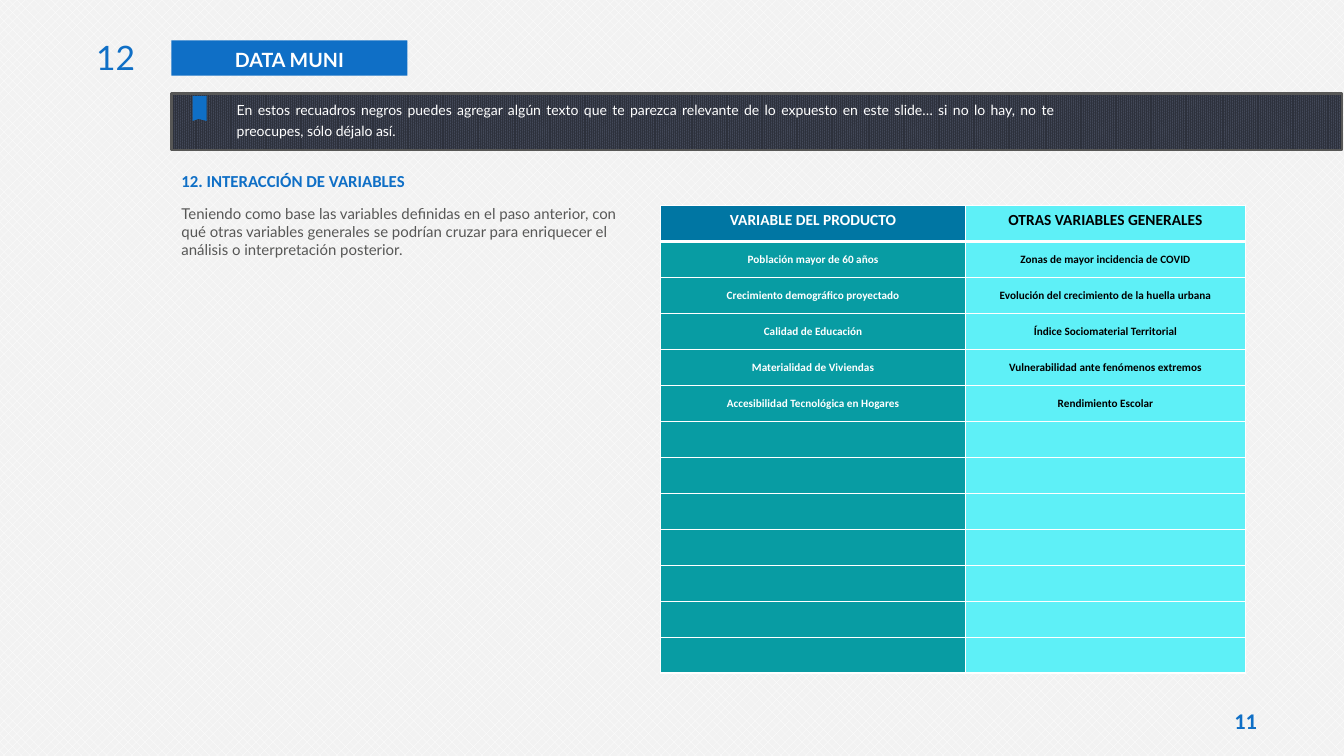
from dataclasses import dataclass

from lxml.etree import SubElement
from pptx import Presentation
from pptx.dml.color import RGBColor
from pptx.enum.dml import MSO_PATTERN as Pat
from pptx.enum.shapes import MSO_SHAPE as Kind
from pptx.enum.text import MSO_ANCHOR as Anchor, MSO_AUTO_SIZE as Auto, PP_ALIGN as Align
from pptx.oxml.ns import qn
from pptx.util import Inches, Pt

BLUE, WHITE, BLACK, GREY = "0F6FC6", "FFFFFF", "000000", "575756"
NAVY, TEAL, CYAN = "0076A3", "089CA3", "5EF0F7"
DOTS = Pat(6)  # 40 percent; python-pptx misspells the member's name


@dataclass
class Style:
    size: float
    color: str
    face: str = "Lato"
    bold: bool = False
    align: Align = Align.LEFT
    lines: float = 1.0


@dataclass
class Label:
    text: str
    box: tuple[float, float, float, float]
    style: Style
    inset: tuple[float, float] = (0.1, 0.05)


def rgb(code: str) -> RGBColor:
    return RGBColor.from_string(code)


def hatch(fill, kind: Pat, fore: str, back: str) -> None:
    fill.patterned()
    fill.pattern = kind
    fill.fore_color.rgb, fill.back_color.rgb = rgb(fore), rgb(back)


def write(frame, text: str, style: Style) -> None:
    frame.text = text
    para = frame.paragraphs[0]
    para.alignment, para.line_spacing = style.align, style.lines
    para.space_before = Pt(0)
    for run in para.runs:
        font = run.font
        font.name, font.size, font.bold = style.face, Pt(style.size), style.bold
        font.color.rgb = rgb(style.color)


def place(shape, label: Label) -> None:
    shape.left, shape.top, shape.width, shape.height = map(Inches, label.box)
    frame = shape.text_frame
    frame.word_wrap, frame.auto_size = True, Auto.NONE
    frame.vertical_anchor = Anchor.TOP
    side, edge = map(Inches, label.inset)
    frame.margin_left = frame.margin_right = side
    frame.margin_top = frame.margin_bottom = edge
    write(frame, label.text, label.style)


def rule(cell, top: float, base: float) -> None:
    props = cell._tc.get_or_add_tcPr()
    for tag, width in (("lnL", 1), ("lnR", 1), ("lnT", top), ("lnB", base)):
        line = SubElement(props, qn(f"a:{tag}"), w=str(Pt(width)))
        fill = SubElement(line, qn("a:solidFill"))
        SubElement(fill, qn("a:srgbClr"), val=WHITE)


def main() -> None:
    deck = Presentation()
    deck.slide_width, deck.slide_height = Inches(13.33), Inches(7.5)
    slide = deck.slides.add_slide(deck.slide_layouts[1])
    shapes = slide.shapes
    hatch(slide.background.fill, DOTS, WHITE, "F2F2F2")

    # Title
    title = shapes.title
    title.fill.solid()
    title.fill.fore_color.rgb = rgb(BLUE)
    place(title, Label("DATA MUNI", (1.7, 0.4, 2.34, 0.35),
                       Style(14, WHITE, bold=True, align=Align.CENTER, lines=1.1)))

    # Dark band with bookmark
    band = shapes.add_shape(Kind.RECTANGLE, *map(Inches, (1.7, 0.93, 11.61, 0.56)))
    band.shadow.inherit = False
    hatch(band.fill, Pat.PERCENT_90, "2D313C", "444A5A")
    band.line.color.rgb, band.line.width = rgb(GREY), Pt(2)

    spots = [(2.05, 0.95), (2.05, 1.2), (1.97, 1.18), (1.91, 1.2), (1.91, 0.95)]
    first, *rest = [(Inches(x), Inches(y)) for x, y in spots]
    pen = shapes.build_freeform(*first)
    pen.add_line_segments(rest, close=True)
    mark = pen.convert_to_shape()
    mark.shadow.inherit = False
    mark.fill.solid()
    mark.fill.fore_color.rgb = rgb(BLUE)
    mark.line.fill.background()

    # Labels
    labels = [
        Label("11", (12.05, 7, 0.61, 0.33),
              Style(16, BLUE, "Calibri", True, Align.CENTER), (0.05, 0.02)),
        Label("12", (0.78, 0.32, 0.66, 0.5), Style(24, BLUE, align=Align.RIGHT)),
        Label("En estos recuadros negros puedes agregar algún texto que te parezca "
              "relevante de lo expuesto en este slide… si no lo hay, no te preocupes, "
              "sólo déjalo así.", (2.25, 0.93, 8.3, 0.56),
              Style(10, WHITE, align=Align.JUSTIFY, lines=1.2)),
        Label("12. INTERACCIÓN DE VARIABLES", (1.7, 1.64, 4.96, 0.3),
              Style(12, BLUE, "Calibri", True)),
    ]
    for label in labels:
        place(shapes.add_textbox(0, 0, 0, 0), label)

    # Body text
    body = slide.placeholders[1]
    place(body, Label("Teniendo como base las variables definidas en el paso anterior, con "
                      "qué otras variables generales se podrían cruzar para enriquecer el "
                      "análisis o interpretación posterior.", (1.7, 1.98, 4.67, 0.64),
                      Style(10.7, GREY)))
    props = body.text_frame.paragraphs[0]._p.get_or_add_pPr()
    props.set("marL", "0")
    props.set("indent", "0")
    SubElement(props, qn("a:buNone"))

    # Table of variables
    pairs = [
        ("VARIABLE DEL PRODUCTO", "OTRAS VARIABLES GENERALES"),
        ("Población mayor de 60 años", "Zonas de mayor incidencia de COVID"),
        ("Crecimiento demográfico proyectado",
         "Evolución del crecimiento de la huella urbana"),
        ("Calidad de Educación", "Índice Sociomaterial Territorial"),
        ("Materialidad de Viviendas", "Vulnerabilidad ante fenómenos extremos"),
        ("Accesibilidad Tecnológica en Hogares", "Rendimiento Escolar"),
    ] + [("", "")] * 7
    area = map(Inches, (6.55, 2.04, 5.8, 4.64))
    table = shapes.add_table(len(pairs), 2, *area).table
    table.columns[0].width, table.columns[1].width = Inches(3.03), Inches(2.77)
    for r, pair in enumerate(pairs):
        table.rows[r].height = Inches(4.64 / len(pairs))
        for c, text in enumerate(pair):
            cell = table.cell(r, c)
            write(cell.text_frame, text, Style(8 if r else 11, BLACK if c else WHITE,
                                               "Calibri", True, Align.CENTER))
            if r:
                cell.vertical_anchor = Anchor.MIDDLE
                cell.margin_left = cell.margin_right = 0
                cell.margin_top = cell.margin_bottom = 0
            rule(cell, 3 if r == 1 else 1, 1 if r else 3)
            cell.fill.solid()
            cell.fill.fore_color.rgb = rgb(CYAN if c else TEAL if r else NAVY)

    deck.save("out.pptx")


if __name__ == "__main__":
    main()
